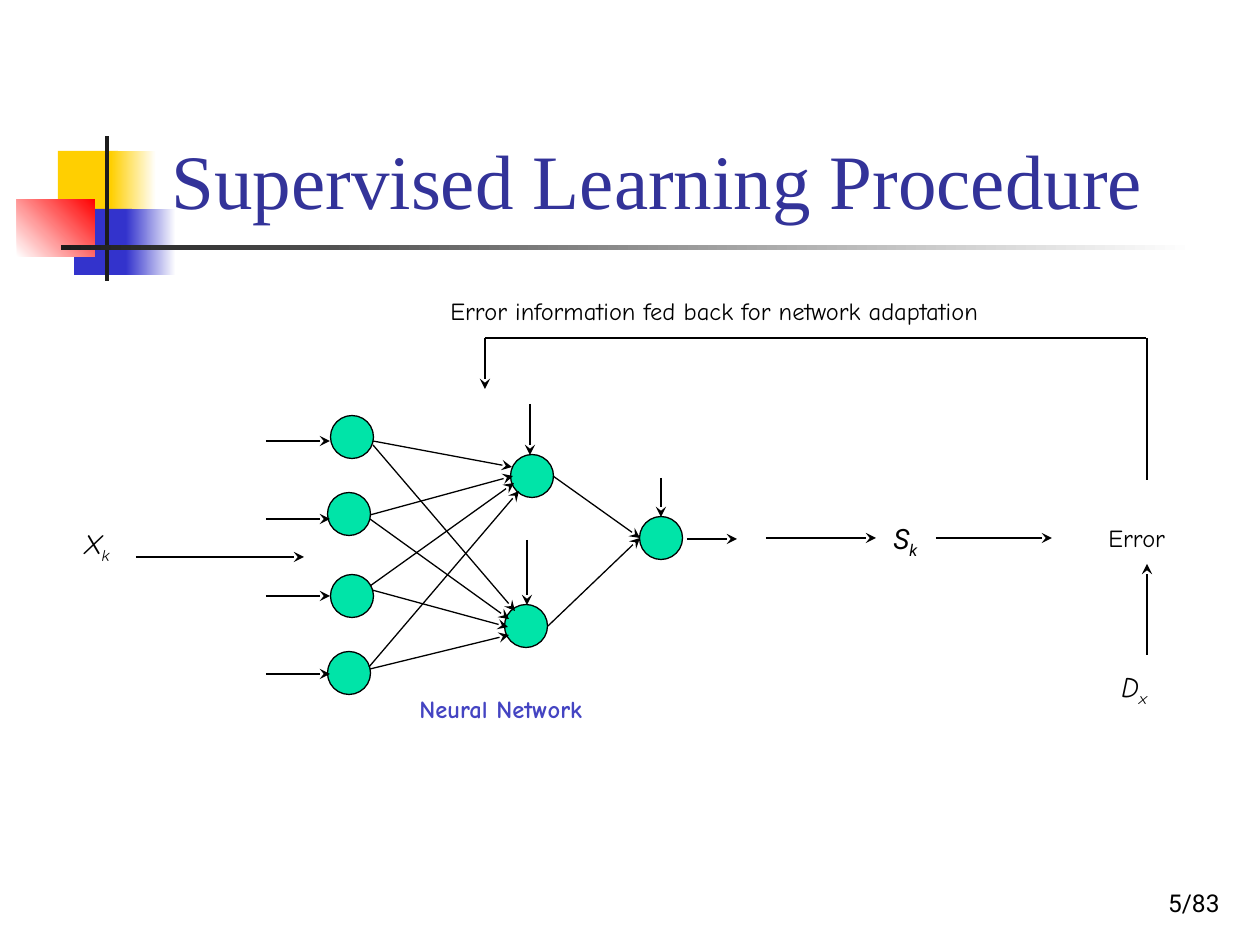
from pptx import Presentation
from pptx.dml.color import RGBColor
from pptx.enum.shapes import MSO_CONNECTOR, MSO_SHAPE
from pptx.enum.text import MSO_ANCHOR, PP_ALIGN
from pptx.oxml.ns import qn
from pptx.util import Emu, Pt
from lxml.etree import SubElement

PX = 914400 / 126
COLORS = {
    "black": "000000", "white": "FFFFFF", "yellow": "FFCF01", "blue": "3333CC",
    "red": "FF0000", "dark": "1C1C1C", "title": "333399", "label": "4444C2",
    "node": "00E4A8",
}

# Box in px, colours (two make a gradient), gradient angle
DECORATION = [
    ((58, 151, 60, 66), ["yellow"], 0),
    ((111, 151, 45, 66), ["yellow", "white"], 0),
    ((74, 209, 58, 66), ["blue"], 0),
    ((126, 209, 50, 66), ["blue", "white"], 0),
    ((17, 199, 78, 58), ["white", "red"], 45),
    ((105, 136, 4, 145), ["dark"], 0),
    ((61, 245, 1134, 5), ["dark", "white"], 0),
]

NODE_SIZE = 43
INPUT_CENTRES = [(352, 437), (349, 514), (352, 596), (349, 673)]
HIDDEN_CENTRES = [(532, 476), (526, 626)]
OUTPUT_CENTRE = (661, 538)

FEEDBACK_LINES = [((485, 338), (1146, 338)), ((1147, 338), (1147, 480))]
FLOW_ARROWS = [
    ((485, 338), (485, 389)),
    ((1147, 655), (1147, 564)),
    ((136, 557), (304, 557)),
    ((687, 539), (737, 539)),
    ((766, 538), (876, 538)),
    ((936, 538), (1052, 538)),
]
BIAS_ARROWS = [((530, 404), (530, 455)), ((527, 540), (527, 605)),
               ((661, 478), (661, 517))]
INPUT_ARROWS = [((266, y), (330, y)) for y in (441, 519, 596, 674)]
WEIGHT_ARROWS = [
    ((373, 441), (512, 467)), ((373, 445), (515, 611)),
    ((370, 515), (513, 476)), ((370, 519), (509, 619)),
    ((370, 586), (514, 483)), ((372, 590), (508, 627)),
    ((369, 667), (519, 491)), ((370, 669), (509, 635)),
    ((553, 476), (640, 538)), ((548, 626), (640, 538)),
]

# Box in px, text, subscript, format
COMIC = "Comic Neue"
LABELS = [
    ((438, 290, 609, 42), "Error information fed back for network adaptation", "", {}),
    ((1096, 517, 89, 42), "Error", "", {}),
    ((407, 688, 214, 42), "Neural Network", "", {"bold": True, "color": "label"}),
    ((881, 515, 50, 47), "S", "k", {"size": 16, "italic": True, "font": "Roboto"}),
    ((1109, 663, 57, 47), "D", "x", {"size": 16, "italic": True}),
    ((72, 520, 57, 47), "X", "k", {"size": 16, "italic": True}),
    ((970, 861, 262, 63), "5/83", "",
     {"font": "Roboto", "align": PP_ALIGN.RIGHT, "anchor": MSO_ANCHOR.BOTTOM, "wrap": True}),
]


def emu(*lengths):
    return [Emu(round(length * PX)) for length in lengths]


def rgb(name):
    return RGBColor.from_string(COLORS[name])


def write_text(shape, text, subscript="", size=14, font=COMIC, color="black", bold=False,
               italic=False, align=PP_ALIGN.LEFT, anchor=MSO_ANCHOR.TOP, wrap=False):
    frame = shape.text_frame
    frame.word_wrap = wrap
    frame.vertical_anchor = anchor
    paragraph = frame.paragraphs[0]
    paragraph.alignment = align
    for part in filter(None, (text, subscript)):
        run = paragraph.add_run()
        run.text = part
        run.font.size = Pt(size)
        run.font.name = font
        run.font.bold = bold
        run.font.italic = italic
        run.font.color.rgb = rgb(color)
    if subscript:
        run._r.get_or_add_rPr().set("baseline", "-25000")


def add_filled_shape(slide, kind, box, colors, angle=0, outline=None):
    shape = slide.shapes.add_shape(kind, *emu(*box))
    shape.shadow.inherit = False
    if len(colors) == 1:
        shape.fill.solid()
        shape.fill.fore_color.rgb = rgb(colors[0])
    else:
        shape.fill.gradient()
        shape.fill.gradient_angle = angle
        for stop, color in zip(shape.fill.gradient_stops, colors):
            stop.color.rgb = rgb(color)
    if outline:
        shape.line.color.rgb = rgb(outline)
        shape.line.width = Pt(0.75)
    else:
        shape.line.fill.background()


def add_line(slide, start, end, arrow=True):
    line = slide.shapes.add_connector(MSO_CONNECTOR.STRAIGHT, *emu(*start, *end))
    line.line.color.rgb = rgb("black")
    line.line.width = Pt(0.75)
    if arrow:
        SubElement(line.line._get_or_add_ln(), qn("a:tailEnd"), type="stealth")
    SubElement(line._element.spPr, qn("a:effectLst"))


def main():
    presentation = Presentation()
    presentation.slide_width, presentation.slide_height = emu(1260, 945)
    slide = presentation.slides.add_slide(presentation.slide_layouts[5])

    for box, colors, angle in DECORATION:
        add_filled_shape(slide, MSO_SHAPE.RECTANGLE, box, colors, angle)

    title = slide.shapes.title
    title.left, title.top, title.width, title.height = emu(159, 29, 1074, 202)
    write_text(title, "Supervised Learning Procedure", size=44, font="Times New Roman",
               color="title", anchor=MSO_ANCHOR.BOTTOM, wrap=True)

    for x, y in INPUT_CENTRES + HIDDEN_CENTRES + [OUTPUT_CENTRE]:
        box = (x - NODE_SIZE / 2, y - NODE_SIZE / 2, NODE_SIZE, NODE_SIZE)
        add_filled_shape(slide, MSO_SHAPE.OVAL, box, ["node"], outline="black")

    for start, end in FEEDBACK_LINES:
        add_line(slide, start, end, arrow=False)
    for start, end in FLOW_ARROWS + BIAS_ARROWS + INPUT_ARROWS + WEIGHT_ARROWS:
        add_line(slide, start, end)

    for box, text, subscript, text_format in LABELS:
        write_text(slide.shapes.add_textbox(*emu(*box)), text, subscript, **text_format)

    presentation.save("out.pptx")


if __name__ == "__main__":
    main()
